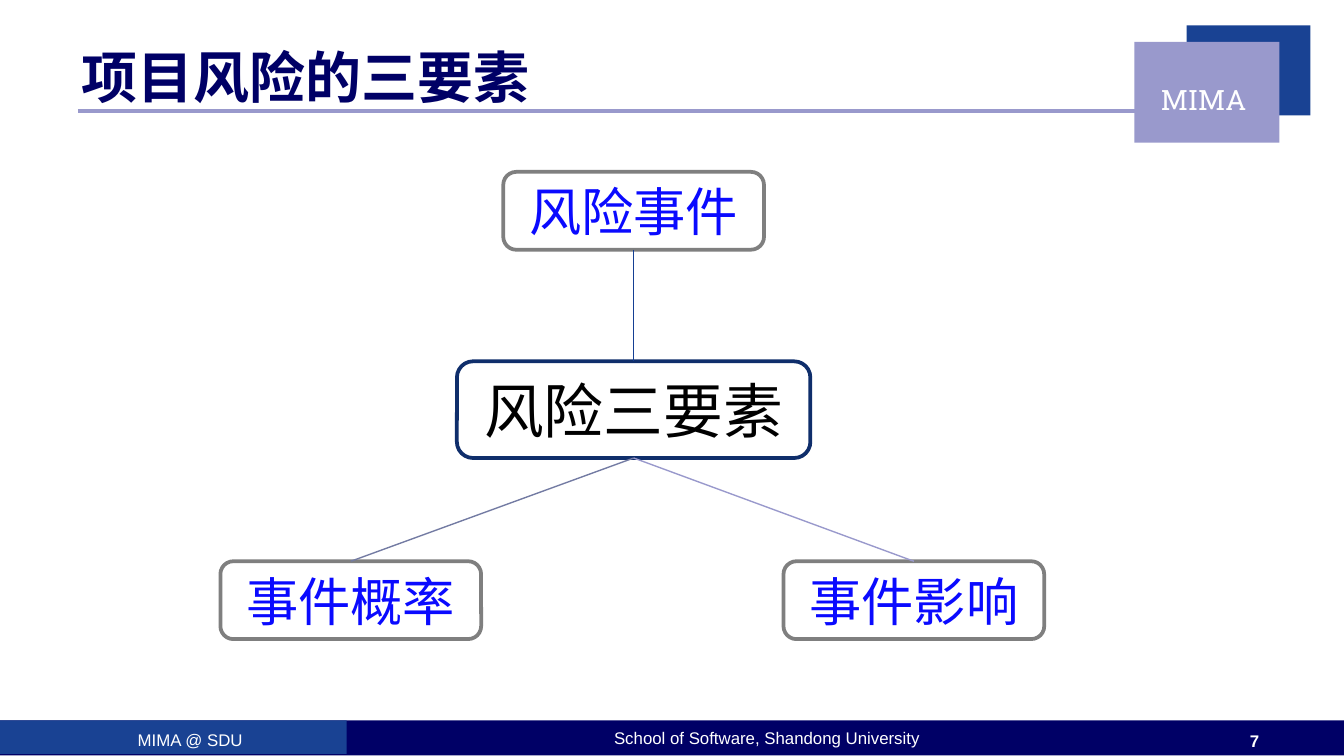
from dataclasses import dataclass

from pptx import Presentation
from pptx.dml.color import RGBColor
from pptx.enum.shapes import MSO_CONNECTOR, MSO_SHAPE
from pptx.enum.text import MSO_ANCHOR, PP_ALIGN
from pptx.oxml.ns import qn
from pptx.util import Emu, Inches, Pt

RECTANGLE, ROUNDED = MSO_SHAPE.RECTANGLE, MSO_SHAPE.ROUNDED_RECTANGLE
STRAIGHT = MSO_CONNECTOR.STRAIGHT
TOP, MIDDLE = MSO_ANCHOR.TOP, MSO_ANCHOR.MIDDLE
LEFT, CENTER = PP_ALIGN.LEFT, PP_ALIGN.CENTER
TOP_SIDE, BOTTOM_SIDE = 0, 2

NAVY = RGBColor(0x00, 0x00, 0x66)
ROYAL = RGBColor(0x19, 0x42, 0x93)
LAVENDER = RGBColor(0x99, 0x99, 0xCC)
WHITE = RGBColor(0xFF, 0xFF, 0xFF)
BLACK = RGBColor(0x00, 0x00, 0x00)
GREY = RGBColor(0x7F, 0x7F, 0x7F)
BLUE = RGBColor(0x0A, 0x0A, 0xFF)
ROOT_EDGE = RGBColor(0x0F, 0x2E, 0x6B)
EVENT_LINK = RGBColor(0x15, 0x3F, 0x93)
PROBABILITY_LINK = RGBColor(0x73, 0x7B, 0xA3)

WIDTH = Inches(10)
HEIGHT = Emu(WIDTH * 9 // 16)


@dataclass(frozen=True)
class Area:
    """Left, top, width and height in percent of the slide."""
    left: float
    top: float
    width: float
    height: float

    def emu(self) -> tuple[Emu, Emu, Emu, Emu]:
        return (across(self.left), down(self.top),
                across(self.width), down(self.height))


@dataclass(frozen=True)
class Label:
    text: str
    area: Area
    size: float = 9
    font: str = "Arial"
    bold: bool = False


@dataclass(frozen=True)
class Node:
    text: str
    area: Area
    size: float = 28
    color: RGBColor = BLUE
    edge: RGBColor = GREY


def across(percent: float) -> Emu:
    return Emu(round(WIDTH * percent / 100))


def down(percent: float) -> Emu:
    return Emu(round(HEIGHT * percent / 100))


def write(shape, text: str, size: float, color: RGBColor, align=CENTER,
          anchor=MIDDLE, font: str = "Arial", bold: bool = False) -> None:
    frame = shape.text_frame
    frame.word_wrap = True
    frame.vertical_anchor = anchor
    frame.text = text
    paragraph = frame.paragraphs[0]
    paragraph.alignment = align
    paragraph.font.name = font
    paragraph.font.size = Pt(size)
    paragraph.font.bold = bold
    paragraph.font.color.rgb = color


def draw_block(slide, area: Area, color: RGBColor) -> None:
    block = slide.shapes.add_shape(RECTANGLE, *area.emu())
    block.shadow.inherit = False
    block.fill.solid()
    block.fill.fore_color.rgb = color
    block.line.fill.background()


def draw_label(slide, label: Label) -> None:
    box = slide.shapes.add_textbox(*label.area.emu())
    write(box, label.text, label.size, WHITE, anchor=TOP,
          font=label.font, bold=label.bold)


def draw_node(slide, node: Node):
    shape = slide.shapes.add_shape(ROUNDED, *node.area.emu())
    shape.shadow.inherit = False
    shape.fill.background()
    shape.line.color.rgb = node.edge
    shape.line.width = Pt(2)
    write(shape, node.text, node.size, node.color)
    return shape


def draw_line(slide, color: RGBColor, weight: float,
              start=(0, 0), end=(0, 0)):
    line = slide.shapes.add_connector(STRAIGHT, *start, *end)
    line.line.color.rgb = color
    line.line.width = Pt(weight)
    properties = line._element.spPr
    properties.append(properties.makeelement(qn("a:effectLst"), {}))
    return line


def link(slide, upper, lower, color: RGBColor) -> None:
    """Join the bottom of the upper node to the top of the lower one."""
    line = draw_line(slide, color, 0.75)
    line.begin_connect(upper, BOTTOM_SIDE)
    line.end_connect(lower, TOP_SIDE)


BLOCKS = [
    (Area(0, 95.3, 100, 4.62), NAVY),
    (Area(88.3, 3.37, 9.2, 11.9), ROYAL),
    (Area(84.4, 5.55, 10.8, 13.32), LAVENDER),
    (Area(0, 95.3, 25.8, 4.44), ROYAL),
]
LABELS = [
    Label("MIMA", Area(83.3, 10, 12.5, 6.22), 15, "Roboto Slab"),
    Label("MIMA @ SDU", Area(2.5, 95.6, 23.3, 2.49)),
    Label("School of Software, Shandong University",
          Area(28.7, 95.4, 56.7, 3.73)),
    Label("7", Area(91, 95.75, 4.7, 2.66), bold=True),
]

AXIS, LOWER_AXIS, SPREAD = 47.15, 47.05, 20.95
ROOT_WIDTH, FACTOR_WIDTH = 26.3, 19.4
EVENT_TOP, ROOT_TOP, LOWER_TOP = 22.74, 47.8, 74.25


def factor(text: str, center: float, top: float) -> Node:
    return Node(text, Area(center - FACTOR_WIDTH / 2, top, FACTOR_WIDTH, 10.3))


ROOT = Node("风险三要素", Area(AXIS - ROOT_WIDTH / 2, ROOT_TOP, ROOT_WIDTH, 12.79),
            32, BLACK, ROOT_EDGE)
EVENT = factor("风险事件", AXIS, EVENT_TOP)
PROBABILITY = factor("事件概率", LOWER_AXIS - SPREAD, LOWER_TOP)
IMPACT = factor("事件影响", LOWER_AXIS + SPREAD, LOWER_TOP)


def main() -> None:
    deck = Presentation()
    deck.slide_width, deck.slide_height = WIDTH, HEIGHT
    slide = deck.slides.add_slide(deck.slide_layouts.get_by_name("Title Only"))

    title = slide.shapes.title
    title.left, title.top, title.width, title.height = Area(
        5.1, 5.33, 80.9, 9.59).emu()
    write(title, "项目风险的三要素", 30, NAVY, align=LEFT, bold=True)

    rule_y = down(14.74)
    draw_line(slide, LAVENDER, 2.25, (across(5.8), rule_y), (across(85), rule_y))
    for area, color in BLOCKS:
        draw_block(slide, area, color)
    for label in LABELS:
        draw_label(slide, label)

    root, event, probability, impact = (
        draw_node(slide, node) for node in (ROOT, EVENT, PROBABILITY, IMPACT))
    link(slide, event, root, EVENT_LINK)
    link(slide, root, probability, PROBABILITY_LINK)
    link(slide, root, impact, LAVENDER)

    deck.save("out.pptx")


if __name__ == "__main__":
    main()
